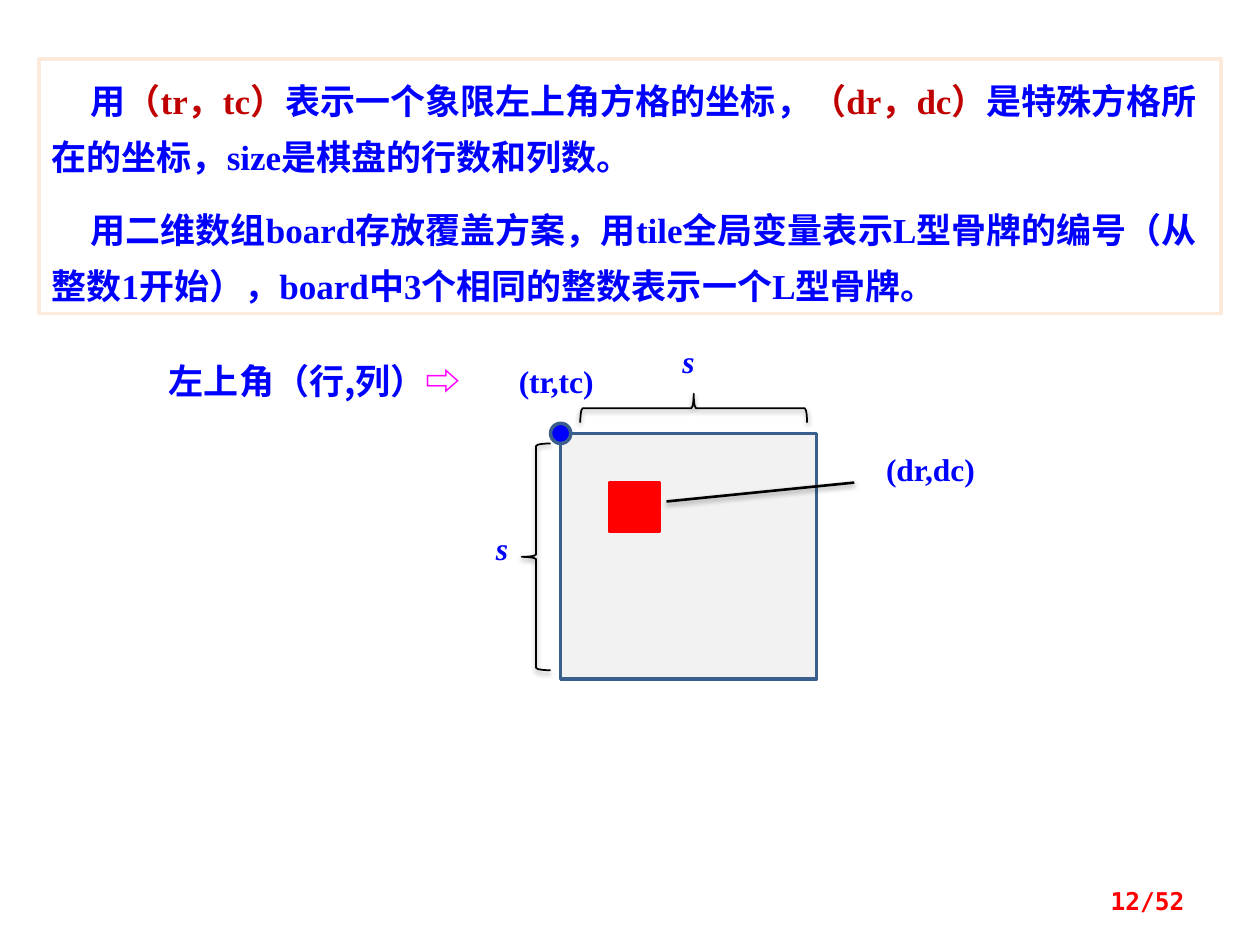
from lxml import etree
from pptx import Presentation
from pptx import util as u
from pptx.dml.color import RGBColor
from pptx.enum import shapes, text
from pptx.oxml import ns

BLUE = RGBColor(0x00, 0x00, 0xFF)
DARK_RED = RGBColor(0xC0, 0x00, 0x00)
RED = RGBColor(0xFF, 0x00, 0x00)
MAGENTA = RGBColor(0xFF, 0x00, 0xFF)
BLACK = RGBColor(0x00, 0x00, 0x00)
WHITE = RGBColor(0xFF, 0xFF, 0xFF)
GREY = RGBColor(0xF2, 0xF2, 0xF2)
PEACH = RGBColor(0xFD, 0xEA, 0xDA)
STEEL = RGBColor(0x3A, 0x5F, 0x8C)

SERIF = "Times New Roman"
CHINESE = "Noto Sans CJK SC"
MONO = "DejaVu Sans Mono"

DEFINITIONS = [
    [("用", BLUE), ("（tr，tc）", DARK_RED), ("表示一个象限左上角方格的坐标，", BLUE),
     ("（dr，dc）", DARK_RED), ("是特殊方格所在的坐标，size是棋盘的行数和列数。", BLUE)],
    [("用二维数组board存放覆盖方案，用tile全局变量表示L型骨牌的编号"
      "（从整数1开始），board中3个相同的整数表示一个L型骨牌。", BLUE)],
]


def frame(left, top, width, height):
    return [u.Inches(value) for value in (left, top, width, height)]


def write_text(para, spans, size=18, font=SERIF, italic=False,
               align=text.PP_ALIGN.CENTER, spacing=0.8, before=0, indent=0):
    para.alignment = align
    para.line_spacing = spacing
    para.space_before = u.Pt(before)
    if indent:
        para._p.get_or_add_pPr().set("indent", str(u.Inches(indent)))
    for words, color in spans:
        span = para.add_run()
        span.text = words
        span.font.name = font
        span.font.size = u.Pt(size)
        span.font.bold = True
        span.font.italic = italic
        span.font.color.rgb = color
        east_asian = etree.SubElement(span.font._element, ns.qn("a:ea"))
        east_asian.set("typeface", CHINESE)


def add_label(page, position, spans, anchor=text.MSO_ANCHOR.TOP, **style):
    box = page.shapes.add_textbox(*frame(*position))
    box.text_frame.word_wrap = False
    box.text_frame.vertical_anchor = anchor
    write_text(box.text_frame.paragraphs[0], spans, **style)


def add_block(page, kind, position, fill, line):
    block = page.shapes.add_shape(kind, *frame(*position))
    block.shadow.inherit = False
    block.fill.solid()
    block.fill.fore_color.rgb = fill
    block.line.color.rgb = line
    block.line.width = u.Pt(2)
    return block


def cast_shadow(item):
    effects = etree.SubElement(item._element.spPr, ns.qn("a:effectLst"))
    shadow = etree.SubElement(effects, ns.qn("a:outerShdw"), blurRad=str(u.Pt(3.1)),
                              dist=str(u.Pt(1.6)), dir="5400000", rotWithShape="0")
    color = etree.SubElement(shadow, ns.qn("a:srgbClr"), val=str(BLACK))
    etree.SubElement(color, ns.qn("a:alpha"), val="38000")


def add_brace(page, position, rotation=0):
    brace = page.shapes.add_shape(shapes.MSO_SHAPE.LEFT_BRACE, *frame(*position))
    brace.rotation = rotation
    brace.fill.background()
    brace.line.color.rgb = BLACK
    brace.line.width = u.Pt(1)
    cast_shadow(brace)


def add_pointer(page, start, end):
    pointer = page.shapes.add_connector(
        shapes.MSO_CONNECTOR.STRAIGHT, *[u.Inches(value) for value in start + end])
    pointer.line.color.rgb = BLACK
    pointer.line.width = u.Pt(1.5)
    cast_shadow(pointer)


def add_definitions(page):
    panel = add_block(page, shapes.MSO_SHAPE.RECTANGLE, (0.31, 0.47, 9.38, 2.02), WHITE, PEACH)
    content = panel.text_frame
    content.word_wrap = True
    content.vertical_anchor = text.MSO_ANCHOR.TOP
    for index, spans in enumerate(DEFINITIONS):
        para = content.add_paragraph() if index else content.paragraphs[0]
        write_text(para, spans, size=20, align=text.PP_ALIGN.LEFT, spacing=u.Pt(32),
                   before=10 if index else 0, indent=0.31)


def add_board(page):
    square = shapes.MSO_SHAPE.RECTANGLE
    add_block(page, square, (4.45, 3.44, 2.03, 1.95), GREY, STEEL)
    add_block(page, square, (4.84, 3.83, 0.39, 0.39), RED, RED)
    add_block(page, shapes.MSO_SHAPE.OVAL, (4.37, 3.36, 0.16, 0.16), BLUE, STEEL)
    add_pointer(page, (5.29, 3.98), (6.78, 3.83))
    add_brace(page, (4.14, 3.52, 0.23, 1.8))
    add_brace(page, (5.39, 2.34, 0.23, 1.8), rotation=90)


def add_board_labels(page):
    add_label(page, (3.75, 2.88, 1.33, 0.34), [("(tr,tc)", BLUE)])
    add_label(page, (6.72, 3.58, 1.33, 0.34), [("(dr,dc)", BLUE)])
    for left, top in ((3.83, 4.21), (5.31, 2.72)):
        add_label(page, (left, top, 0.31, 0.34), [("s", BLUE)], italic=True)
    add_label(page, (1.17, 2.87, 2.66, 0.37), [("左上角（行,列）", BLUE), ("⇨", MAGENTA)],
              size=20, font=CHINESE)


def main():
    deck = Presentation()
    deck.slide_width = u.Inches(10)
    deck.slide_height = u.Inches(7.5)
    page = deck.slides.add_slide(deck.slide_layouts[6])
    add_definitions(page)
    add_board(page)
    add_board_labels(page)
    add_label(page, (7.17, 6.95, 2.33, 0.4), [("12/52", RED)], size=14, font=MONO,
              align=text.PP_ALIGN.RIGHT, spacing=1.0, anchor=text.MSO_ANCHOR.MIDDLE)
    deck.save("out.pptx")


if __name__ == "__main__":
    main()
